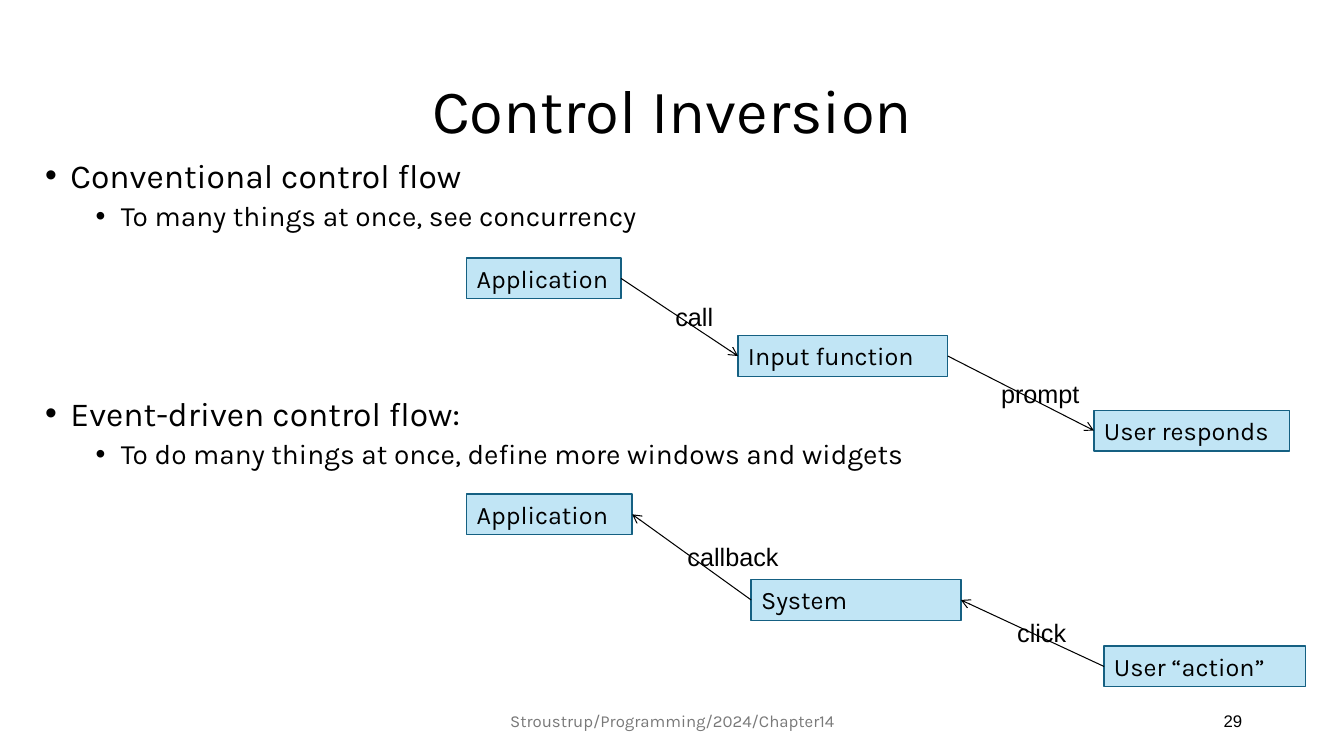
from itertools import pairwise

from lxml.etree import SubElement
from pptx import Presentation
from pptx.dml.color import RGBColor
from pptx.enum.shapes import MSO_CONNECTOR as Connector, MSO_SHAPE as Shape
from pptx.enum.text import MSO_ANCHOR as Anchor, MSO_AUTO_SIZE as AutoSize, PP_ALIGN as Align
from pptx.oxml.ns import qn
from pptx.util import Inches, Pt

COLORS = {"text": "000000", "footer": "797979", "box": "C1E5F5", "border": "156082"}
CELL = Inches(0.1)
BOX_ROWS = 4.04
RIGHT_SITE, LEFT_SITE = 3, 1

SECTIONS = [
    {
        "top": 15.3,
        "bullets": ["Conventional control flow", "To many things at once, see concurrency"],
        "boxes": [
            ("Application", 42.8, 10.3, 15.3),
            ("Input function", 69.7, 18, 20.8),
            ("User responds", 105, 25.4, 19.4),
        ],
        "labels": [("call", 62.5, 5.8), ("prompt", 94.8, 9.9)],
        "backward": False,
    },
    {
        "top": 38.9,
        "bullets": [
            "Event-driven control flow:",
            "To do many things at once, define more windows and widgets",
        ],
        "boxes": [
            ("Application", 42.8, 10.1, 16.4),
            ("System", 71, 18.6, 20.8),
            ("User “action”", 106, 25.2, 20),
        ],
        "labels": [("callback", 63.7, 11.1), ("click", 96.4, 6.9)],
        "backward": True,
    },
]


def cells(*counts):
    return [round(count * CELL) for count in counts]


def color(name):
    return RGBColor.from_string(COLORS[name])


def format_paragraph(paragraph, size, font="Karla", tone="text", align=Align.LEFT):
    paragraph.alignment = align
    for run in paragraph.runs:
        run.font.name = font
        run.font.size = Pt(size)
        run.font.color.rgb = color(tone)


def add_text(slide, box, text, size, wrap=True, anchor=Anchor.TOP, **style):
    frame = slide.shapes.add_textbox(*cells(*box)).text_frame
    frame.word_wrap = wrap
    frame.vertical_anchor = anchor
    frame.text = text
    for paragraph in frame.paragraphs:
        format_paragraph(paragraph, size, **style)
    return frame


def add_title(slide, box):
    title = slide.shapes.title
    title.left, title.top, title.width, title.height = cells(*box)
    frame = title.text_frame
    frame.text = "Control Inversion"
    frame.vertical_anchor = Anchor.MIDDLE
    frame.paragraphs[0].line_spacing = 0.9
    format_paragraph(frame.paragraphs[0], 44, align=Align.CENTER)


def add_bullets(slide, box, lines):
    frame = add_text(slide, box, "\n".join(lines), 24)
    for level, paragraph in enumerate(frame.paragraphs):
        format_paragraph(paragraph, 24 - 4 * level)
        paragraph.level = level
        paragraph.line_spacing = 0.9
        paragraph.space_before = Pt(10 - 5 * level)
        properties = paragraph._p.get_or_add_pPr()
        properties.set("marL", str(Inches(0.25 + 0.5 * level)))
        properties.set("indent", str(-Inches(0.25)))
        SubElement(properties, qn("a:buFont"), typeface="Arial")
        SubElement(properties, qn("a:buChar"), char="•")


def add_box(slide, box, text):
    shape = slide.shapes.add_shape(Shape.RECTANGLE, *cells(*box))
    shape.shadow.inherit = False
    shape.fill.solid()
    shape.fill.fore_color.rgb = color("box")
    shape.line.color.rgb = color("border")
    shape.line.width = Pt(1)
    frame = shape.text_frame
    frame.word_wrap = True
    frame.auto_size = AutoSize.SHAPE_TO_FIT_TEXT
    frame.vertical_anchor = Anchor.TOP
    frame.text = text
    format_paragraph(frame.paragraphs[0], 18)
    return shape


def add_arrow(slide, left_box, right_box, backward):
    ends = [(left_box, RIGHT_SITE), (right_box, LEFT_SITE)]
    start, end = reversed(ends) if backward else ends
    arrow = slide.shapes.add_connector(Connector.STRAIGHT, 0, 0, 0, 0)
    arrow.begin_connect(*start)
    arrow.end_connect(*end)
    arrow.line.color.rgb = color("text")
    arrow.line.width = Pt(0.75)
    SubElement(arrow.line._get_or_add_ln(), qn("a:tailEnd"), type="arrow")
    SubElement(arrow._element.spPr, qn("a:effectLst"))


def add_section(slide, box, section):
    left, top, width, height = box
    add_bullets(slide, (left, top, width, height), section["bullets"])
    shapes = [
        add_box(slide, (left + column, top + row, columns, BOX_ROWS), text)
        for text, column, row, columns in section["boxes"]
    ]
    for pair in pairwise(shapes):
        add_arrow(slide, *pair, section["backward"])
    rows = [row for _, _, row, _ in section["boxes"]]
    for (text, column, columns), (above, below) in zip(section["labels"], pairwise(rows)):
        label_box = (left + column, top + (above + below) / 2, columns, BOX_ROWS)
        add_text(slide, label_box, text, 18, wrap=False, font="Arial")


def add_footer(slide, box):
    left, top, width, height = box
    add_text(slide, (left, top, 45, height), "Stroustrup/Programming/2024/Chapter14", 12,
             anchor=Anchor.MIDDLE, tone="footer", align=Align.CENTER)
    add_text(slide, (left + width - 30, top, 30, height), "29", 12,
             anchor=Anchor.MIDDLE, font="Arial", align=Align.RIGHT)


def main():
    presentation = Presentation()
    presentation.slide_width, presentation.slide_height = Inches(13.33), Inches(7.5)
    slide = presentation.slides.add_slide(presentation.slide_layouts[5])
    add_title(slide, (9.2, 4, 115, 14.5))
    for section in SECTIONS:
        add_section(slide, (3.5, section["top"], 108.8, 7.7), section)
    add_footer(slide, (44.2, 69.5, 80, 4))
    presentation.save("out.pptx")


if __name__ == "__main__":
    main()
